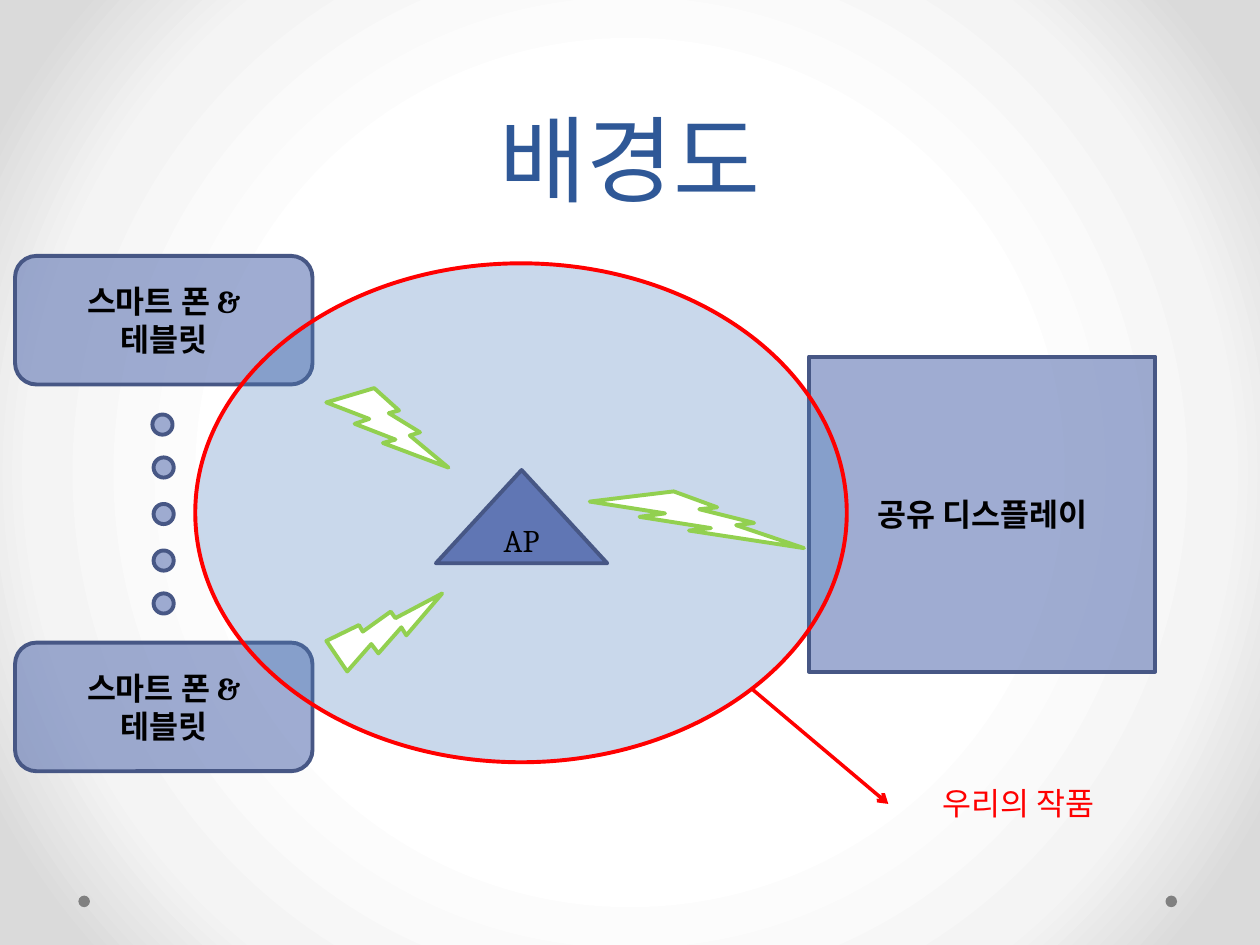
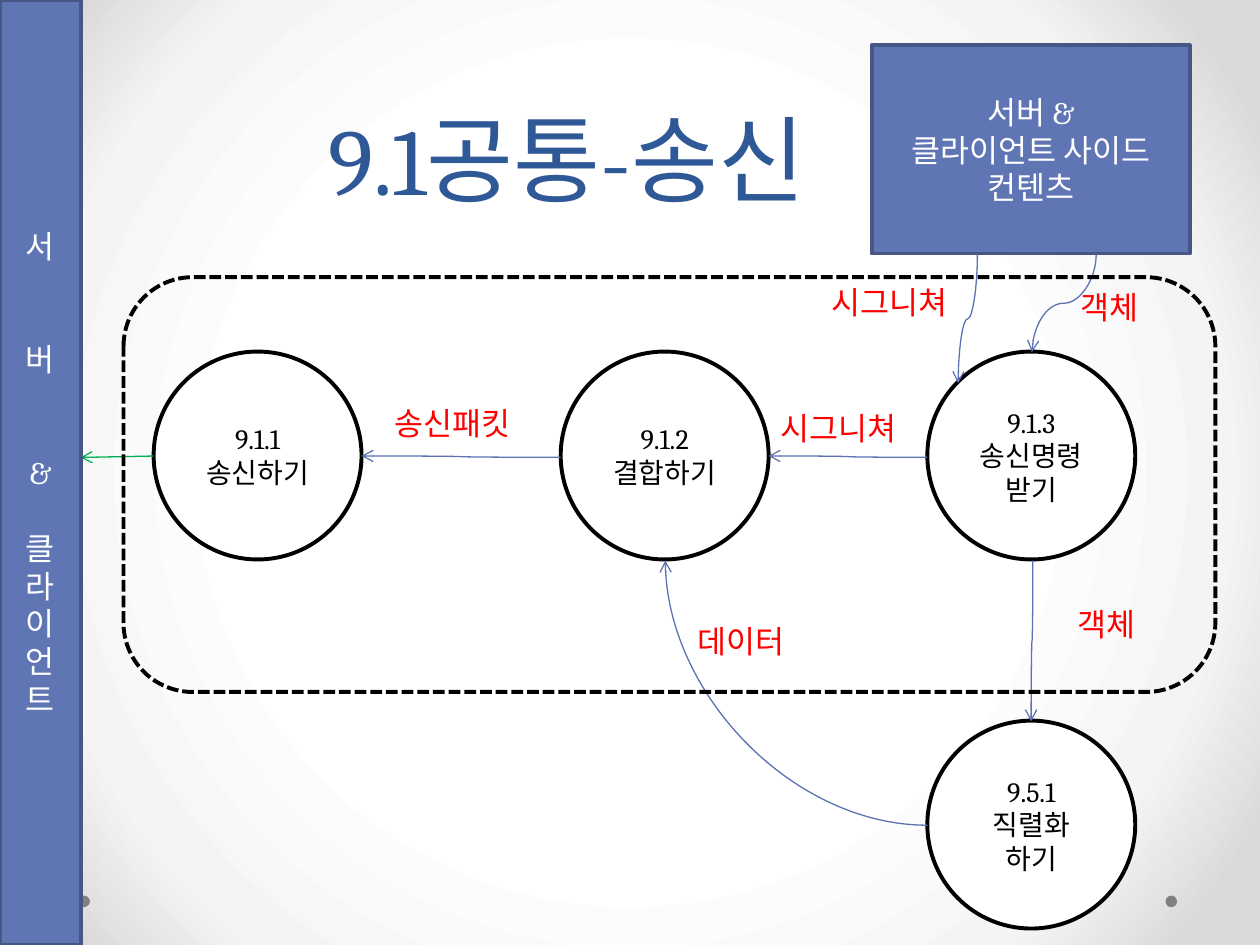
from lxml.etree import SubElement
from pptx import Presentation
from pptx.dml.color import RGBColor
from pptx.enum.dml import MSO_LINE
from pptx.enum.shapes import MSO_CONNECTOR, MSO_SHAPE
from pptx.enum.text import MSO_ANCHOR, PP_ALIGN
from pptx.oxml.ns import qn
from pptx.util import Pt

FONT = "Cambria"
BLUE = RGBColor(0x60, 0x76, 0xB4)
DARK_BLUE = RGBColor(0x47, 0x57, 0x85)
ARROW_BLUE = RGBColor(0x5C, 0x72, 0xB2)
TITLE_BLUE = RGBColor(0x2F, 0x58, 0x97)
RANGE_BLUE = RGBColor(0x4F, 0x81, 0xBD)
RED = RGBColor(0xFF, 0x00, 0x00)
GREEN = RGBColor(0x00, 0xB0, 0x50)
LIME = RGBColor(0x92, 0xD0, 0x50)
GRAY = RGBColor(0x80, 0x80, 0x80)
BLACK = RGBColor(0x00, 0x00, 0x00)
WHITE = RGBColor(0xFF, 0xFF, 0xFF)
BACKDROP = [(50, "FFFFFF"), (76, "F4F4F4"), (92, "DADADA")]

NODE_SIZE = 118.8
NODE_TOP = 200.9


def write_text(shape, lines, size=18, color=BLACK, bold=False, align=PP_ALIGN.CENTER,
               anchor=MSO_ANCHOR.MIDDLE, inset=None, line_spacing=None, gaps=None):
    """Write one paragraph per line; gaps maps a line number to the space before it."""
    frame = shape.text_frame
    frame.word_wrap = True
    frame.vertical_anchor = anchor
    if inset is not None:
        frame.margin_left = frame.margin_right = Pt(inset)
        frame.margin_top = frame.margin_bottom = Pt(inset)
    for number, line in enumerate(lines):
        paragraph = frame.add_paragraph() if number else frame.paragraphs[0]
        paragraph.alignment = align
        if line_spacing:
            paragraph.line_spacing = Pt(line_spacing)
        if gaps and number in gaps:
            paragraph.space_before = Pt(gaps[number])
        run = paragraph.add_run()
        run.text = line
        run.font.name = FONT
        run.font.size = Pt(size)
        run.font.bold = bold
        run.font.color.rgb = color


def add_box(slide, kind, left, top, width, height, fill=BLUE, opacity=100,
            line=DARK_BLUE, rotation=0):
    shape = slide.shapes.add_shape(kind, Pt(left), Pt(top), Pt(width), Pt(height))
    shape.shadow.inherit = False
    shape.rotation = rotation
    if fill is None:
        shape.fill.background()
    else:
        shape.fill.solid()
        shape.fill.fore_color.rgb = fill
        if opacity < 100:
            color = shape._element.spPr.find(qn("a:solidFill"))[0]
            SubElement(color, qn("a:alpha"), val=str(opacity * 1000))
    if line is None:
        shape.line.fill.background()
    else:
        shape.line.color.rgb = line
        shape.line.width = Pt(2.25)
    return shape


def add_label(slide, text, left, top, width, height=28.8, **text_format):
    box = slide.shapes.add_textbox(Pt(left), Pt(top), Pt(width), Pt(height))
    write_text(box, [text], **text_format)


def add_arrow(slide, start, end, kind=MSO_CONNECTOR.STRAIGHT, color=ARROW_BLUE, width=0.75):
    connector = slide.shapes.add_connector(
        kind, Pt(start[0]), Pt(start[1]), Pt(end[0]), Pt(end[1]))
    connector.line.color.rgb = color
    connector.line.width = Pt(width)
    properties = connector._element.spPr
    SubElement(properties.find(qn("a:ln")), qn("a:tailEnd"), type="arrow")
    SubElement(properties, qn("a:effectLst"))
    return connector


def add_curve(slide, start, end):
    """S-curve that leaves and arrives horizontally."""
    return add_arrow(slide, start, end, MSO_CONNECTOR.CURVE)


def add_quarter_curve(slide, start, end):
    connector = add_curve(slide, start, end)
    connector._element.spPr.find(qn("a:prstGeom")).set("prst", "curvedConnector2")


def add_falling_curve(slide, start, end):
    """S-curve from top right to bottom left: a flat curve turned by 90 degrees."""
    middle_x, middle_y = (start[0] + end[0]) / 2, (start[1] + end[1]) / 2
    half_length, half_shift = (end[1] - start[1]) / 2, (start[0] - end[0]) / 2
    connector = add_curve(slide, (middle_x - half_length, middle_y - half_shift),
                          (middle_x + half_length, middle_y + half_shift))
    connector._element.spPr.find(qn("a:xfrm")).set("rot", "5400000")


def set_backdrop(master):
    """Radial gradient shared by all slides."""
    master.background.fill.gradient()
    gradient = master._element.find(".//" + qn("a:gradFill"))
    for child in list(gradient):
        gradient.remove(child)
    stops = SubElement(gradient, qn("a:gsLst"))
    for position, color in BACKDROP:
        stop = SubElement(stops, qn("a:gs"), pos=str(position * 1000))
        SubElement(stop, qn("a:srgbClr"), val=color)
    circle = SubElement(gradient, qn("a:path"), path="circle")
    SubElement(circle, qn("a:fillToRect"), l="50000", t="50000", r="50000", b="50000")


def add_titled_slide(presentation, title, title_left):
    slide = presentation.slides.add_slide(presentation.slide_layouts[6])
    for left in (666, 44.8):
        add_box(slide, MSO_SHAPE.OVAL, left, 511.8, 6.6, 6.6, fill=GRAY, line=None)
    add_label(slide, title, title_left, 0, 648, 126, size=54, color=TITLE_BLUE,
              anchor=MSO_ANCHOR.BOTTOM, line_spacing=58)
    return slide


def add_device(slide, top):
    device = add_box(slide, MSO_SHAPE.ROUNDED_RECTANGLE, 8.6, top, 170, 73.5, opacity=60)
    write_text(device, ["스마트 폰 &", "테블릿"], bold=True)


def add_node(slide, left, top, *lines):
    node = add_box(slide, MSO_SHAPE.OVAL, left, top, NODE_SIZE, NODE_SIZE,
                   fill=WHITE, line=BLACK)
    write_text(node, lines, size=16, inset=2.9)


def build_background_slide(presentation):
    slide = add_titled_slide(presentation, "배경도", 36)

    # Devices, the dots between them, and the display
    add_device(slide, 146.2)
    for left, top in [(87.1, 236.9), (87.8, 261.4), (87.8, 288), (87.8, 314.6), (87.8, 339.1)]:
        add_box(slide, MSO_SHAPE.OVAL, left, top, 11.5, 11.5, opacity=60)
    display = add_box(slide, MSO_SHAPE.RECTANGLE, 462.2, 203.8, 198, 180, opacity=60)
    write_text(display, ["공유 디스플레이"], bold=True)
    add_device(slide, 367.2)

    # Wireless range
    add_box(slide, MSO_SHAPE.OVAL, 111.6, 150.5, 372.3, 285.1,
            fill=RANGE_BLUE, opacity=30, line=RED)
    for left, top, width, height, rotation in [(186.5, 221.8, 69.8, 45.4, 0),
                                               (337, 280.8, 122.4, 32.4, 0),
                                               (197.3, 328.3, 44.6, 66.2, 270)]:
        add_box(slide, MSO_SHAPE.LIGHTNING_BOLT, left, top, width, height,
                fill=WHITE, line=LIME, rotation=rotation)

    # Callout and access point
    add_arrow(slide, (429.8, 393.8), (507.6, 459.4), color=RED, width=2)
    add_label(slide, "우리의 작품", 507.6, 436.3, 148.3, 45.4, color=RED)
    access_point = add_box(slide, MSO_SHAPE.FLOWCHART_EXTRACT, 249.1, 268.6, 97.9, 53.3)
    write_text(access_point, ["AP"])


def build_sending_slide(presentation):
    slide = add_titled_slide(presentation, "9.1공통-송신", 0)

    # Steps
    add_node(slide, 87.8, NODE_TOP, "9.1.1", "송신하기")
    add_node(slide, 320.4, NODE_TOP, "9.1.2", "결합하기")
    add_node(slide, 529.9, NODE_TOP, "9.1.3", "송신명령", "받기")
    add_node(slide, 529.9, 411.8, "9.5.1", "직렬화", "하기")
    content = add_box(slide, MSO_SHAPE.RECTANGLE, 498.2, 25.9, 181.7, 119)
    write_text(content, ["서버 &", "클라이언트 사이드", "컨텐츠"], color=WHITE)

    # Flows
    add_curve(slide, (529.9, 261.4), (439.2, 260.6))
    add_curve(slide, (320.4, 261.4), (206.6, 260.6))
    add_quarter_curve(slide, (529.9, 471.6), (380.2, 320.4))
    add_falling_curve(slide, (590.2, 320.4), (589.2, 412.2))
    add_falling_curve(slide, (558.5, 145.4), (547.5, 218.9))
    add_falling_curve(slide, (626.4, 145.4), (589.7, 201.2))
    add_arrow(slide, (87.8, 260.6), (46.1, 261.4), color=GREEN)

    # Data names
    for text, left, top, width in [("시그니쳐", 439.2, 230.4, 108),
                                   ("데이터", 391.7, 352.1, 76.3),
                                   ("시그니쳐", 468, 158.4, 108),
                                   ("객체", 610.6, 161.3, 61.2),
                                   ("객체", 608.4, 342, 61.2),
                                   ("송신패킷", 218.2, 227.5, 108)]:
        add_label(slide, text, left, top, width, color=RED,
                  align=PP_ALIGN.LEFT, anchor=MSO_ANCHOR.TOP)

    # System border and side bar
    border = add_box(slide, MSO_SHAPE.ROUNDED_RECTANGLE, 70.6, 158.4, 623.9, 237,
                     fill=None, line=BLACK)
    border.line.dash_style = MSO_LINE.SQUARE_DOT
    bar = add_box(slide, MSO_SHAPE.RECTANGLE, 0, 0, 46.1, 540)
    write_text(bar, list("서버&클라이언트"), color=WHITE, gaps={1: 43, 2: 43, 3: 21.5})


def main():
    presentation = Presentation()
    presentation.slide_width = Pt(720)
    presentation.slide_height = Pt(540)
    set_backdrop(presentation.slide_master)
    build_background_slide(presentation)
    build_sending_slide(presentation)
    presentation.save("out.pptx")


main()
